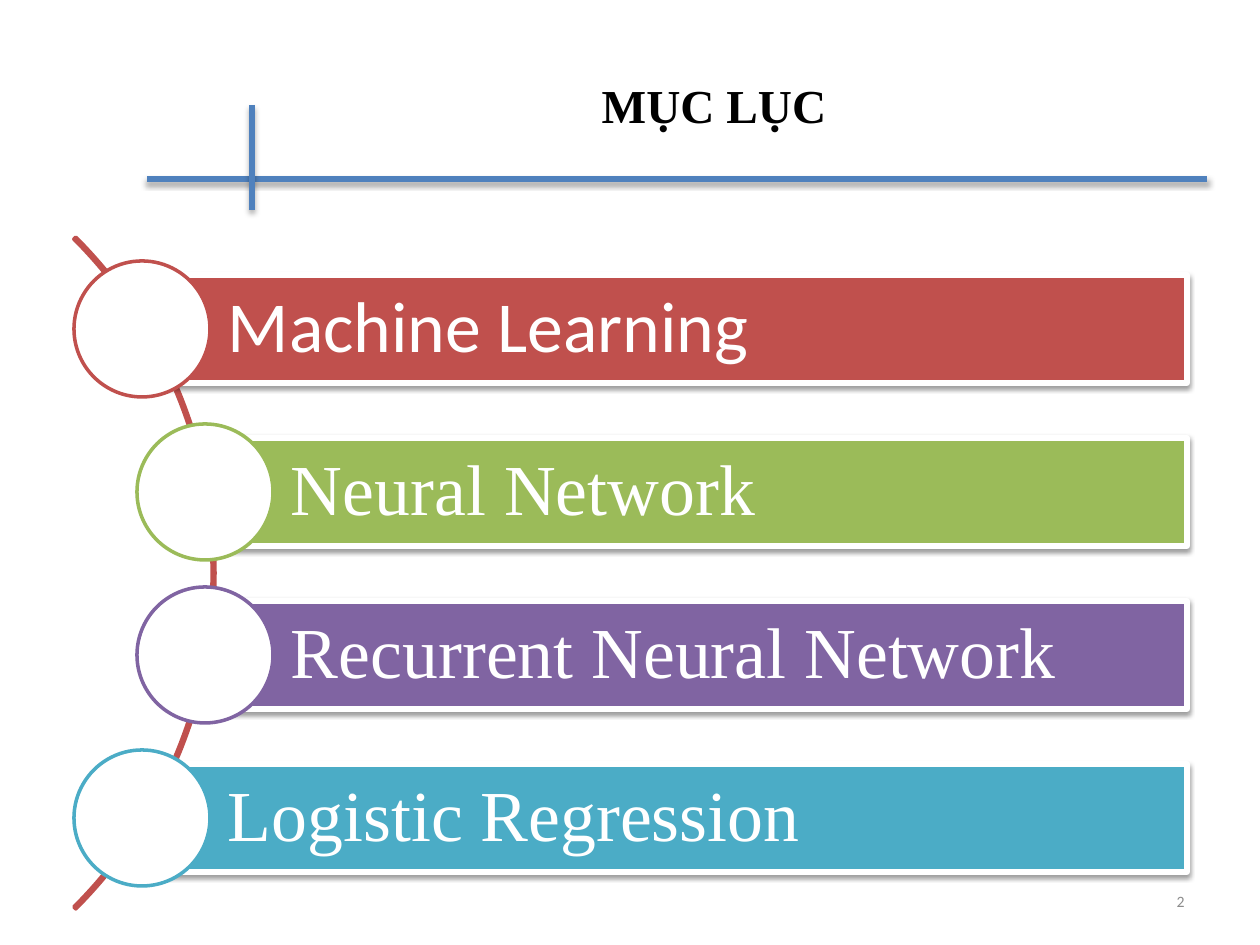
from dataclasses import dataclass

from lxml import etree
from pptx import Presentation
from pptx import util as u
from pptx.dml.color import RGBColor
from pptx.enum import shapes, text
from pptx.oxml.ns import qn

PX = 914400 / 126
HUES = {
    "red": "C0504D", "green": "9BBB59", "purple": "8064A2", "aqua": "4BACC6",
    "blue": "4F81BD", "white": "FFFFFF", "black": "000000", "gray": "8C8C8C",
}
SERIF, SANS = "Times New Roman", "Calibri"
KIND, ALIGN = shapes.MSO_SHAPE, text.PP_ALIGN


@dataclass
class Font:
    name: str
    size: int
    hue: str
    bold: bool = False


@dataclass
class Item:
    label: str
    hue: str
    mid: int
    face: str = SERIF


ITEMS = [
    Item("Machine Learning", "red", 142, SANS),
    Item("Neural Network", "green", 205),
    Item("Recurrent Neural Network", "purple", 205),
    Item("Logistic Regression", "aqua", 142),
]
TOP, STEP = 329, 163
RIGHT, HIGH, RADIUS = 1187, 108, 68


def emu(*nums: int) -> list[u.Emu]:
    return [u.Emu(round(n * PX)) for n in nums]


def rgb(hue: str) -> RGBColor:
    return RGBColor.from_string(HUES[hue])


def stroke(shape, hue: str, width: int) -> None:
    shape.line.color.rgb = rgb(hue)
    shape.line.width = u.Pt(width)


def shade(shape, dist: float, alpha: int) -> None:
    """Give the shape a soft shadow that falls straight down."""
    props = shape._element.spPr
    fx = props.find(qn("a:effectLst"))
    if fx is None:
        fx = etree.SubElement(props, qn("a:effectLst"))
    drop = etree.SubElement(
        fx, qn("a:outerShdw"), blurRad=str(u.Pt(3.1)), dist=str(u.Pt(dist)),
        dir="5400000", rotWithShape="0")
    tint = etree.SubElement(drop, qn("a:srgbClr"), val=HUES["black"])
    etree.SubElement(tint, qn("a:alpha"), val=str(alpha * 1000))


def rule(slide, ends: tuple[int, int, int, int]) -> None:
    line = slide.shapes.add_connector(shapes.MSO_CONNECTOR.STRAIGHT, *emu(*ends))
    stroke(line, "blue", 3)
    shade(line, 1.8, 35)


def block(slide, kind, box: tuple[int, int, int, int], fill: str | None,
          edge: str, width: int):
    shape = slide.shapes.add_shape(kind, *emu(*box))
    shape.shadow.inherit = False
    if fill:
        shape.fill.solid()
        shape.fill.fore_color.rgb = rgb(fill)
    else:
        shape.fill.background()
    stroke(shape, edge, width)
    return shape


def write(shape, words: str, font: Font, align: ALIGN) -> None:
    frame = shape.text_frame
    frame.word_wrap = True
    frame.vertical_anchor = text.MSO_ANCHOR.MIDDLE
    para = frame.paragraphs[0]
    para.alignment = align
    run = para.add_run()
    run.text = words
    run.font.name = font.name
    run.font.size = u.Pt(font.size)
    run.font.bold = font.bold
    run.font.color.rgb = rgb(font.hue)


def label(slide, box: tuple[int, int, int, int], words: str, font: Font,
          align: ALIGN) -> None:
    write(slide.shapes.add_textbox(*emu(*box)), words, font, align)


def entry(slide, item: Item, y: int) -> None:
    """Draw one bar with the circle that sits on its left end."""
    bar = block(slide, KIND.RECTANGLE,
                (item.mid, y - HIGH // 2, RIGHT - item.mid, HIGH),
                item.hue, "white", 3)
    shade(bar, 1.6, 38)
    write(bar, item.label, Font(item.face, 41, "white"), ALIGN.LEFT)
    frame = bar.text_frame
    frame.margin_left, frame.margin_right = emu(86, 14)
    frame.margin_top, frame.margin_bottom = emu(14, 14)
    frame.paragraphs[0].line_spacing = 0.9
    block(slide, KIND.OVAL,
          (item.mid - RADIUS, y - RADIUS, 2 * RADIUS, 2 * RADIUS),
          "white", item.hue, 2)


def main() -> None:
    deck = Presentation()
    deck.slide_width, deck.slide_height = u.Inches(10), u.Inches(7.5)
    slide = deck.slides.add_slide(deck.slide_layouts[6])

    rule(slide, (147, 179, 1207, 179))
    rule(slide, (252, 105, 252, 210))
    label(slide, (147, 26, 1134, 158), "MỤC LỤC",
          Font(SERIF, 27, "black", True), ALIGN.CENTER)

    arc = block(slide, KIND.BLOCK_ARC, (-735, 98, 950, 950), None, "red", 2)
    for i, val in enumerate((189, 27, 0.003)):
        arc.adjustments[i] = val
    for i, item in enumerate(ITEMS):
        entry(slide, item, TOP + i * STEP)

    label(slide, (903, 876, 294, 50), "2", Font(SANS, 9, "gray"), ALIGN.RIGHT)
    deck.save("out.pptx")


if __name__ == "__main__":
    main()
